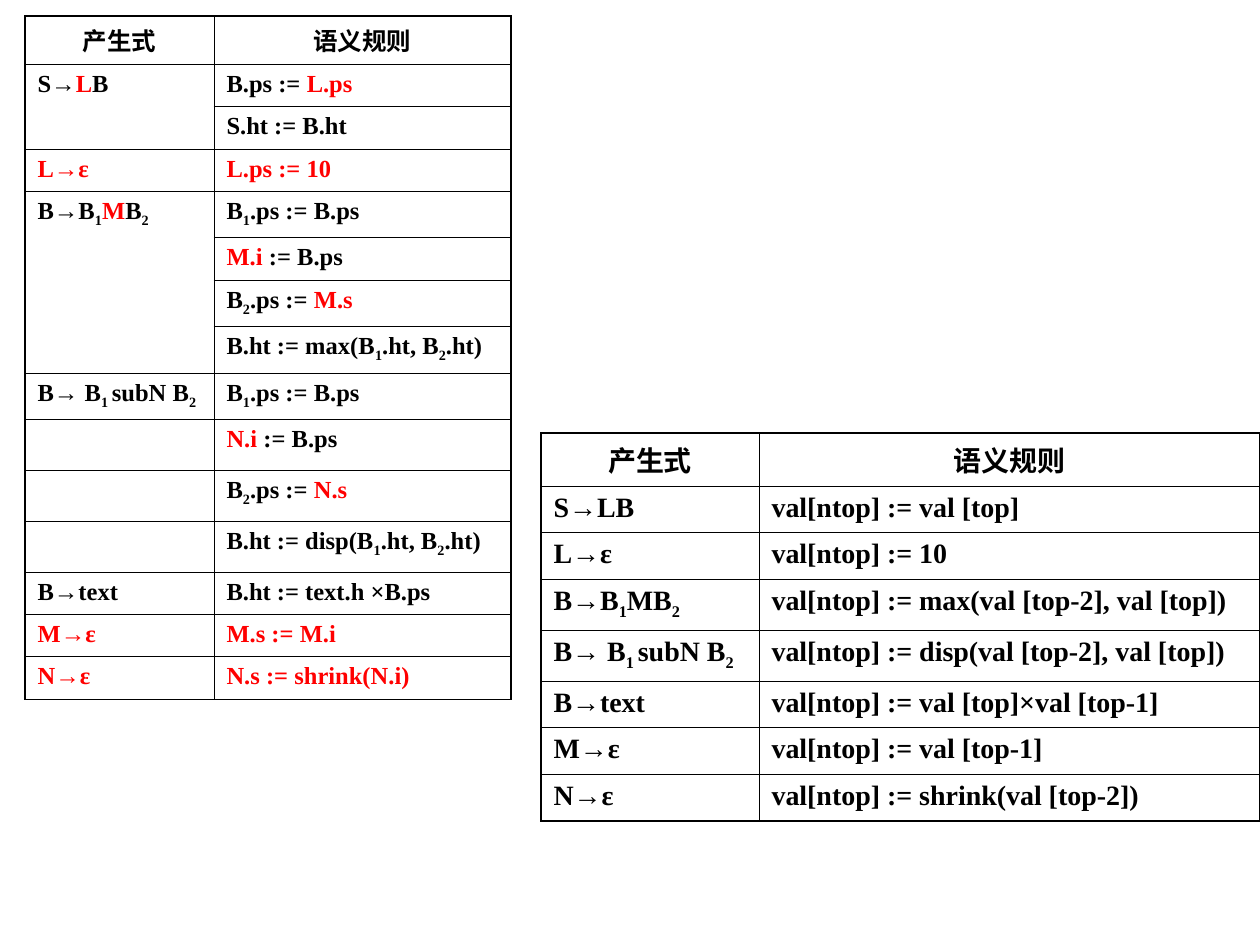
from dataclasses import dataclass
from typing import NamedTuple

from lxml.etree import SubElement
from pptx import Presentation
from pptx.dml.color import RGBColor
from pptx.enum.text import PP_ALIGN
from pptx.oxml.ns import qn
from pptx.util import Emu, Pt

PIXEL = 914400 // 126
COLORS = {"ink": "000000", "added": "FF0000"}
FONT = "Times New Roman"
OUTER_WIDTH, INNER_WIDTH = 1.08, 0.45
PLAIN_TABLE_STYLE = "{2D5ABB26-0587-4C30-8999-92F81FD0307C}"


class Piece(NamedTuple):
    text: str
    color: str = "ink"
    subscript: bool = False


def added(text: str) -> Piece:
    return Piece(text, color="added")


def sub(text: str) -> Piece:
    return Piece(text, subscript=True)


def plain(*texts: str) -> list[list[Piece]]:
    return [[Piece(text)] for text in texts]


@dataclass
class RuleTable:
    left: int
    top: int
    columns: list[int]
    heights: list[int]
    size: int
    rows: list[list[list[Piece]]]
    merges: list[tuple[int, int]]


HEADER = plain("产生式", "语义规则")
B, SUB_1, SUB_2 = Piece("B"), sub("1"), sub("2")
SUBSCRIPT_PRODUCTION = [Piece("B→ B"), sub("1 "), Piece("subN B"), SUB_2]
FIRST_SIZE = [B, SUB_1, Piece(".ps := B.ps")]


def second_size(source: str) -> list[Piece]:
    return [B, SUB_2, Piece(".ps := "), added(source)]


def inherited(target: str) -> list[Piece]:
    return [added(target + " "), Piece(":= B.ps")]


def combined_height(function: str) -> list[Piece]:
    return [Piece(f"B.ht := {function}(B"), SUB_1, Piece(".ht, B"), SUB_2, Piece(".ht)")]


SEMANTIC_RULES = RuleTable(
    left=25,
    top=16,
    columns=[189, 297],
    heights=[48, 42, 43, 42, 46, 43, 46, 47, 46, 48, 48, 48, 42, 42, 43],
    size=14,
    rows=[
        HEADER,
        [[Piece("S→"), added("L"), B], [Piece("B.ps := "), added("L.ps")]],
        [[], [Piece("S.ht := B.ht")]],
        [[added("L→ε")], [added("L.ps := 10")]],
        [[Piece("B→B"), SUB_1, added("M"), B, SUB_2], FIRST_SIZE],
        [[], inherited("M.i")],
        [[], second_size("M.s")],
        [[], combined_height("max")],
        [SUBSCRIPT_PRODUCTION, FIRST_SIZE],
        [[], inherited("N.i")],
        [[], second_size("N.s")],
        [[], combined_height("disp")],
        plain("B→text", "B.ht := text.h ×B.ps"),
        [[added("M→ε")], [added("M.s := M.i")]],
        [[added("N→ε")], [added("N.s := shrink(N.i)")]],
    ],
    merges=[(1, 2), (4, 7)],
)

STACK_RULES = RuleTable(
    left=541,
    top=433,
    columns=[218, 501],
    heights=[52, 46, 47, 51, 51, 46, 47, 47],
    size=16,
    rows=[
        HEADER,
        plain("S→LB", "val[ntop] := val [top]"),
        plain("L→ε", "val[ntop] := 10"),
        [
            [Piece("B→B"), SUB_1, Piece("MB"), SUB_2],
            [Piece("val[ntop] := max(val [top-2], val [top])")],
        ],
        [SUBSCRIPT_PRODUCTION, [Piece("val[ntop] := disp(val [top-2], val [top])")]],
        plain("B→text", "val[ntop] := val [top]×val [top-1]"),
        plain("M→ε", "val[ntop] := val [top-1]"),
        plain("N→ε", "val[ntop] := shrink(val [top-2])"),
    ],
    merges=[],
)


def add_span(para, text: str, *, size: int, color: str, subscript: bool = False) -> None:
    span = para.add_run()
    span.text = text
    font = span.font
    font.name, font.size, font.bold = FONT, Pt(size), True
    font.color.rgb = RGBColor.from_string(COLORS[color])
    if subscript:
        font._element.set("baseline", "-25000")


def set_borders(cell, widths: dict[str, float]) -> None:
    properties = cell._tc.get_or_add_tcPr()
    for side, width in widths.items():
        line = SubElement(properties, qn(f"a:{side}"), w=str(Pt(width)))
        fill = SubElement(line, qn("a:solidFill"))
        SubElement(fill, qn("a:srgbClr"), val=COLORS["ink"])


def border_widths(row: int, column: int, last_row: int, last_column: int) -> dict[str, float]:
    on_edge = {
        "lnL": column == 0,
        "lnR": column == last_column,
        "lnT": row == 0,
        "lnB": row == last_row,
    }
    return {side: OUTER_WIDTH if edge else INNER_WIDTH for side, edge in on_edge.items()}


def draw_table(page, rules: RuleTable) -> None:
    box = [rules.left, rules.top, sum(rules.columns), sum(rules.heights)]
    frame = page.shapes.add_table(
        len(rules.rows), len(rules.columns), *(Emu(length * PIXEL) for length in box)
    )
    table = frame.table
    table.first_row = table.horz_banding = False
    table._tbl.tblPr.find(qn("a:tableStyleId")).text = PLAIN_TABLE_STYLE
    for column, width in zip(table.columns, rules.columns):
        column.width = Emu(width * PIXEL)
    for row, height in zip(table.rows, rules.heights):
        row.height = Emu(height * PIXEL)
    for first, last in rules.merges:
        table.cell(first, 0).merge(table.cell(last, 0))
    for row_index, row in enumerate(rules.rows):
        for column_index, pieces in enumerate(row):
            cell = table.cell(row_index, column_index)
            widths = border_widths(
                row_index, column_index, len(rules.rows) - 1, len(rules.columns) - 1
            )
            if cell.is_spanned:
                widths = {side: widths[side] for side in ("lnL", "lnR")}
            set_borders(cell, widths)
            cell.fill.background()
            para = cell.text_frame.paragraphs[0]
            para.alignment = PP_ALIGN.CENTER if row_index == 0 else PP_ALIGN.LEFT
            for piece in pieces:
                add_span(para, piece.text, size=rules.size, color=piece.color,
                         subscript=piece.subscript)


def main() -> None:
    deck = Presentation()
    deck.slide_width, deck.slide_height = Emu(1260 * PIXEL), Emu(945 * PIXEL)
    page = deck.slides.add_slide(deck.slide_layouts[6])
    for rules in (SEMANTIC_RULES, STACK_RULES):
        draw_table(page, rules)
    deck.save("out.pptx")


if __name__ == "__main__":
    main()
